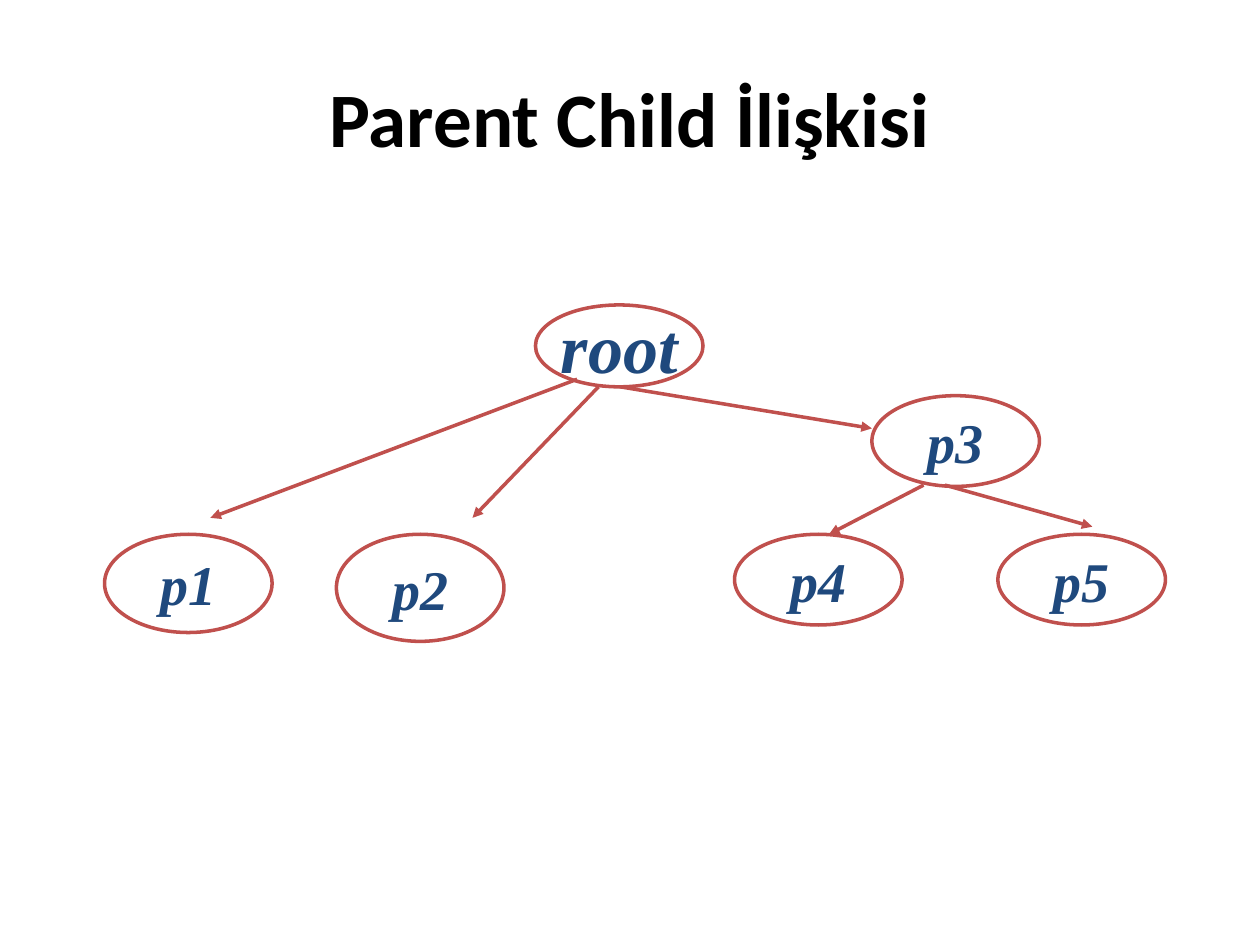
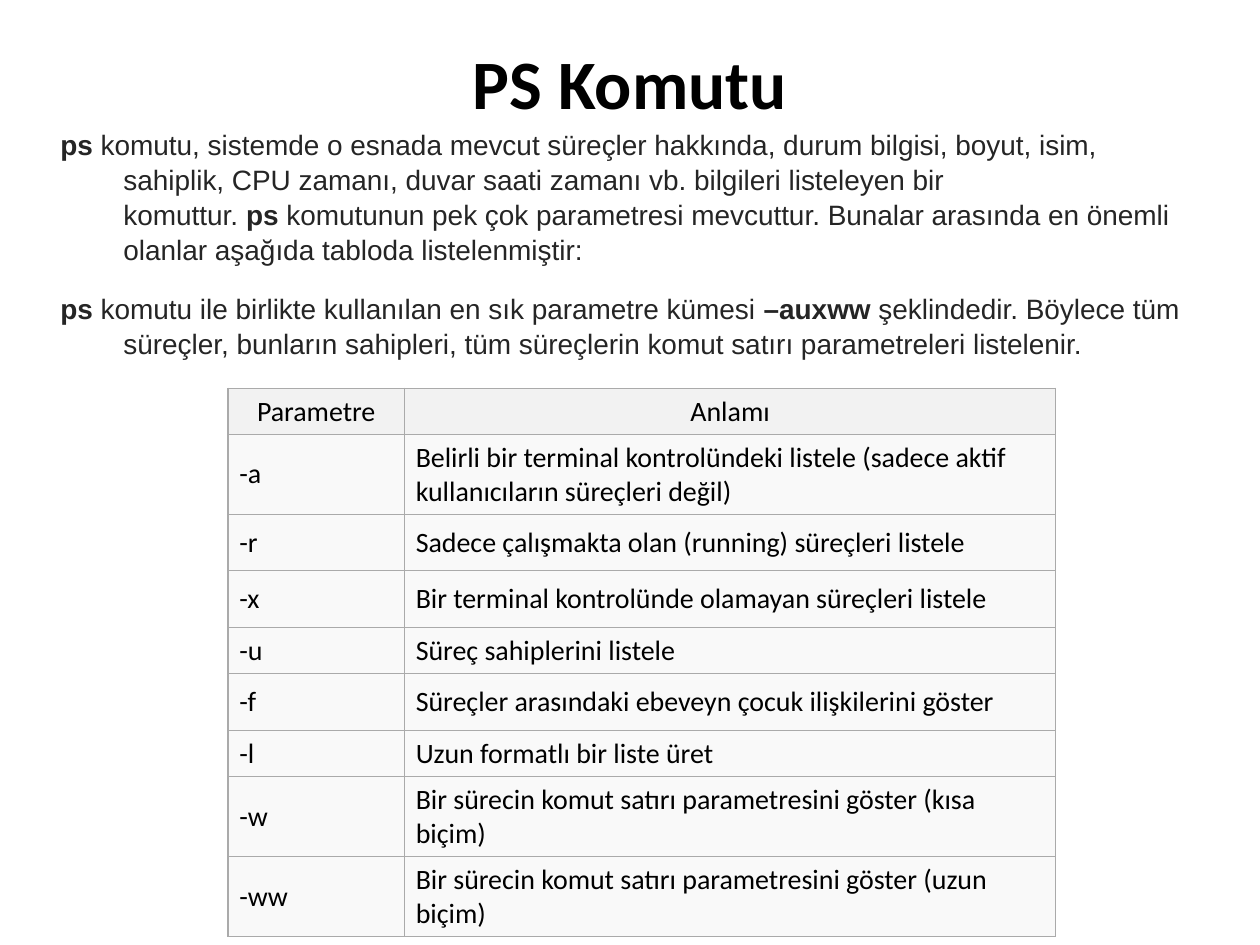
import pptx
import pptx.util
import pptx.dml.color
import pptx.enum.shapes
import pptx.enum.text
import pptx.oxml
import pptx.oxml.ns

Inches = pptx.util.Inches
Pt = pptx.util.Pt
ALIGN = pptx.enum.text.PP_ALIGN
MIDDLE = pptx.enum.text.MSO_ANCHOR.MIDDLE
SHAPE = pptx.enum.shapes.MSO_SHAPE

HEX = {"white": "FFFFFF", "black": "000000", "red": "C0504D", "blue": "1F497D",
       "body": "252525", "head": "F2F2F2", "cell": "F9F9F9", "rule": "AAAAAA"}
NB = chr(160)  # space at which a line may not break

# name, left, top, height, text size
NODE_W = 1.33
NODES = [
    ("root", 4.25, 2.42, 0.65, 40),
    ("p5", 7.92, 4.24, 0.72, 32),
    ("p3", 6.92, 3.14, 0.72, 32),
    ("p4", 5.83, 4.24, 0.72, 32),
    ("p2", 2.67, 4.24, 0.85, 32),
    ("p1", 0.83, 4.24, 0.78, 32),
]
# x and y of the start, x and y of the end
EDGES = [
    (4.58, 3.01, 1.67, 4.11),
    (4.75, 3.07, 3.75, 4.11),
    (4.92, 3.07, 6.92, 3.4),
    (7.5, 3.85, 8.67, 4.18),
    (7.33, 3.85, 6.58, 4.24),
]

# paragraphs of (text, bold) runs
INTRO = [
    [("ps", True),
     (f"{NB}komutu, sistemde o esnada mevcut süreçler hakkında, durum bilgisi, "
      "boyut, isim, sahiplik, CPU zamanı, duvar saati zamanı vb. bilgileri "
      f"listeleyen bir komuttur.{NB}", False),
     ("ps", True),
     (f"{NB}komutunun pek çok parametresi mevcuttur. Bunalar arasında en önemli "
      "olanlar aşağıda tabloda listelenmiştir:", False)],
    [("ps", True),
     (f"{NB}komutu ile birlikte kullanılan en sık parametre kümesi{NB}", False),
     ("–auxww", True),
     (f"{NB}şeklindedir. Böylece tüm süreçler, bunların sahipleri, tüm süreçlerin "
      "komut satırı parametreleri listelenir.", False)],
]

COLS = [1.4, 5.17]
# row height, parameter, meaning
ROWS = [
    (0.32, "Parametre", "Anlamı"),
    (0.57, "-a", "Belirli bir terminal kontrolündeki listele (sadece aktif "
                 "kullanıcıların süreçleri değil)"),
    (0.45, "-r", "Sadece çalışmakta olan (running) süreçleri listele"),
    (0.45, "-x", "Bir terminal kontrolünde olamayan süreçleri listele"),
    (0.32, "-u", "Süreç sahiplerini listele"),
    (0.45, "-f", "Süreçler arasındaki ebeveyn çocuk ilişkilerini göster"),
    (0.32, "-l", "Uzun formatlı bir liste üret"),
    (0.45, "-w", "Bir sürecin komut satırı parametresini göster (kısa biçim)"),
    (0.45, "-ww", "Bir sürecin komut satırı parametresini göster (uzun biçim)"),
]


def rgb(name):
    return pptx.dml.color.RGBColor.from_string(HEX[name])


def paint(fill, name):
    fill.solid()
    fill.fore_color.rgb = rgb(name)


def add_run(para, text, size, font, color, bold=False, italic=False):
    run = para.add_run()
    run.text = text
    run.font.size = Pt(size)
    run.font.name = font
    run.font.color.rgb = rgb(color)
    run.font.bold = bold
    run.font.italic = italic


def add_title(slide, text, height, size):
    box = slide.shapes.add_textbox(Inches(0.5), Inches(0.3), Inches(9), Inches(height))
    frame = box.text_frame
    frame.word_wrap = True
    frame.vertical_anchor = MIDDLE
    para = frame.paragraphs[0]
    para.alignment = ALIGN.CENTER
    add_run(para, text, size, "Calibri", "black", bold=True)


def add_form(slide, kind, left, top, width, height):
    """Add a white shape without shadow, its text centred in height."""
    form = slide.shapes.add_shape(kind, Inches(left), Inches(top),
                                  Inches(width), Inches(height))
    form.shadow.inherit = False
    paint(form.fill, "white")
    form.text_frame.vertical_anchor = MIDDLE
    return form


def add_node(slide, name, left, top, height, size):
    node = add_form(slide, SHAPE.OVAL, left, top, NODE_W, height)
    node.line.color.rgb = rgb("red")
    node.line.width = Pt(2)
    node.text_frame.word_wrap = False
    para = node.text_frame.paragraphs[0]
    para.alignment = ALIGN.CENTER
    add_run(para, name, size, "Times New Roman", "blue", bold=True, italic=True)


def add_edge(slide, *ends):
    edge = slide.shapes.add_connector(pptx.enum.shapes.MSO_CONNECTOR.STRAIGHT,
                                      *[Inches(end) for end in ends])
    edge.line.color.rgb = rgb("red")
    edge.line.width = Pt(2)
    tail = edge.line._get_or_add_ln().makeelement(pptx.oxml.ns.qn("a:tailEnd"),
                                                  {"type": "triangle"})
    edge.line._get_or_add_ln().append(tail)
    props = edge._element.spPr
    props.append(props.makeelement(pptx.oxml.ns.qn("a:effectLst"), {}))


def add_intro(slide):
    box = add_form(slide, SHAPE.RECTANGLE, 0.2, 0.99, 9.3, 1.87)
    box.line.fill.background()
    frame = box.text_frame
    frame.word_wrap = True
    frame.margin_left, frame.margin_right = Inches(0.28), 0
    frame.margin_top, frame.margin_bottom = Inches(0.03), Inches(0.02)
    for i, runs in enumerate(INTRO):
        para = frame.add_paragraph() if i else frame.paragraphs[0]
        para.alignment = ALIGN.LEFT
        para.line_spacing = 1.04
        para.space_before = Pt(14 if i else 0)
        props = para._p.get_or_add_pPr()
        props.set("marL", str(Inches(0.5)))
        props.set("indent", str(-Inches(0.5)))
        for text, bold in runs:
            add_run(para, text, 16, "Arial", "body", bold)


def add_rules(cell):
    """Draw a thin line on all four sides of a cell."""
    props = cell._tc.get_or_add_tcPr()
    for i, side in enumerate("LRTB"):
        props.insert(i, pptx.oxml.parse_xml(
            f'<a:ln{side} {pptx.oxml.ns.nsdecls("a")} w="{Pt(0.75)}"><a:solidFill>'
            f'<a:srgbClr val="{HEX["rule"]}"/></a:solidFill></a:ln{side}>'))


def add_grid(slide):
    high = sum(row[0] for row in ROWS)
    grid = slide.shapes.add_table(len(ROWS), len(COLS), Inches(1.81), Inches(3.08),
                                  Inches(sum(COLS)), Inches(high)).table
    grid.first_row = grid.horz_banding = False
    for col, width in zip(grid.columns, COLS):
        col.width = Inches(width)
    for r, (height, *texts) in enumerate(ROWS):
        grid.rows[r].height = Inches(height)
        for c, text in enumerate(texts):
            cell = grid.cell(r, c)
            cell.vertical_anchor = MIDDLE
            cell.margin_left = cell.margin_right = Inches(0.09)
            cell.margin_top = cell.margin_bottom = Inches(0.05)
            paint(cell.fill, "cell" if r else "head")
            add_rules(cell)
            para = cell.text_frame.paragraphs[0]
            para.alignment = ALIGN.LEFT if r else ALIGN.CENTER
            add_run(para, text, 16, "Calibri", "black")


def main():
    deck = pptx.Presentation()
    deck.slide_width, deck.slide_height = Inches(10), Inches(7.5)
    blank = deck.slide_layouts[6]

    tree = deck.slides.add_slide(blank)
    add_title(tree, "Parent Child İlişkisi", 1.25, 44)
    for node in NODES:
        add_node(tree, *node)
    for edge in EDGES:
        add_edge(tree, *edge)

    ps = deck.slides.add_slide(blank)
    add_title(ps, "PS Komutu", 0.69, 39.6)
    add_grid(ps)
    add_intro(ps)

    deck.save("out.pptx")


if __name__ == "__main__":
    main()
